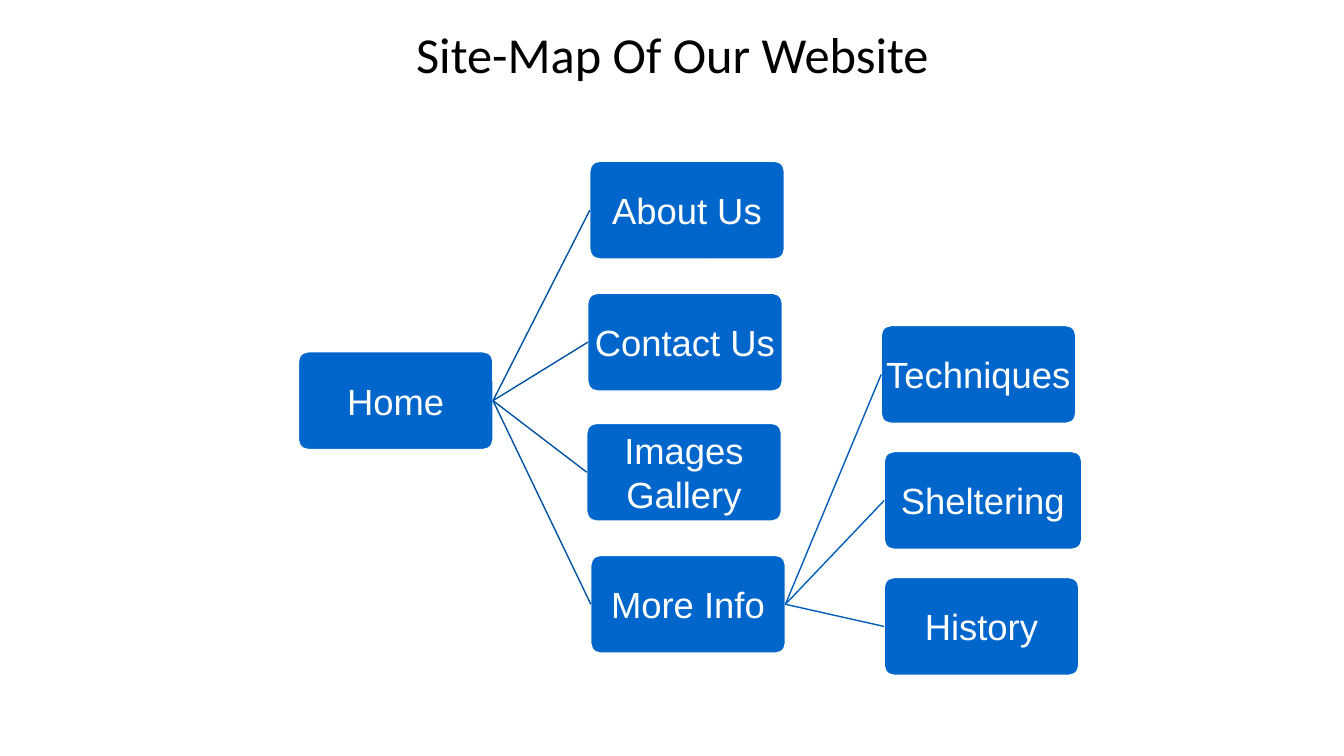
import pptx
import pptx.dml.color
import pptx.enum.shapes
import pptx.enum.text
import pptx.oxml.ns
import pptx.util
from lxml import etree

EMU_PER_PX = 9144
BOX_WIDTH, BOX_HEIGHT = 193, 97
COLOURS = {
    "box": "0066CC",
    "white": "FFFFFF",
    "title": "000000",
    "main_link": "0052A3",
    "sub_link": "005DB9",
}
HOME = ("Home", 296, 349, BOX_WIDTH)
MAIN_PAGES = [
    ("About Us", 585, 160, BOX_WIDTH),
    ("Contact Us", 583, 291, BOX_WIDTH),
    ("Images Gallery", 582, 420, BOX_WIDTH),
    ("More Info", 586, 551, BOX_WIDTH),
]
INFO_PAGES = [
    ("Techniques", 874, 323, BOX_WIDTH),
    ("Sheltering", 877, 448, 196),
    ("History", 877, 573, BOX_WIDTH),
]


def px(length):
    return pptx.util.Emu(length * EMU_PER_PX)


def colour(name):
    return pptx.dml.color.RGBColor.from_string(COLOURS[name])


def write_text(frame, text, *, font, size, fill, inset):
    frame.word_wrap = True
    frame.vertical_anchor = pptx.enum.text.MSO_ANCHOR.MIDDLE
    frame.margin_left = frame.margin_right = px(inset)
    frame.margin_top = frame.margin_bottom = px(inset)
    para = frame.paragraphs[0]
    para.alignment = pptx.enum.text.PP_ALIGN.CENTER
    span = para.add_run()
    span.text = text
    span.font.name = font
    span.font.size = pptx.util.Pt(size)
    span.font.color.rgb = colour(fill)


def add_title(page, text):
    box = page.shapes.add_textbox(px(67), px(21), px(1200), px(64))
    write_text(box.text_frame, text, font="Calibri", size=36, fill="title", inset=5)


def add_page_box(page, text, left, top, width):
    box = page.shapes.add_shape(
        pptx.enum.shapes.MSO_SHAPE.ROUNDED_RECTANGLE,
        px(left), px(top), px(width), px(BOX_HEIGHT),
    )
    box.adjustments[0] = 0.1
    box.shadow.inherit = False
    box.fill.solid()
    box.fill.fore_color.rgb = colour("box")
    box.line.color.rgb = colour("white")
    box.line.width = pptx.util.Pt(1)
    write_text(box.text_frame, text, font="Arial", size=26, fill="white", inset=1)
    return box


def add_link(page, parent, child, line_colour):
    link = page.shapes.add_connector(
        pptx.enum.shapes.MSO_CONNECTOR.STRAIGHT, 0, 0, 0, 0
    )
    link.begin_connect(parent, 3)
    link.end_connect(child, 1)
    link.line.color.rgb = colour(line_colour)
    link.line.width = pptx.util.Pt(1)
    etree.SubElement(link._element.spPr, pptx.oxml.ns.qn("a:effectLst"))


def add_branch(page, parent, children, line_colour):
    boxes = [add_page_box(page, *child) for child in children]
    for box in boxes:
        add_link(page, parent, box, line_colour)
    return boxes


def main():
    deck = pptx.Presentation()
    deck.slide_width, deck.slide_height = px(1333), px(750)
    page = deck.slides.add_slide(deck.slide_layouts[6])
    add_title(page, "Site-Map Of Our Website")
    home = add_page_box(page, *HOME)
    main_boxes = add_branch(page, home, MAIN_PAGES, "main_link")
    add_branch(page, main_boxes[-1], INFO_PAGES, "sub_link")
    deck.save("out.pptx")


if __name__ == "__main__":
    main()
